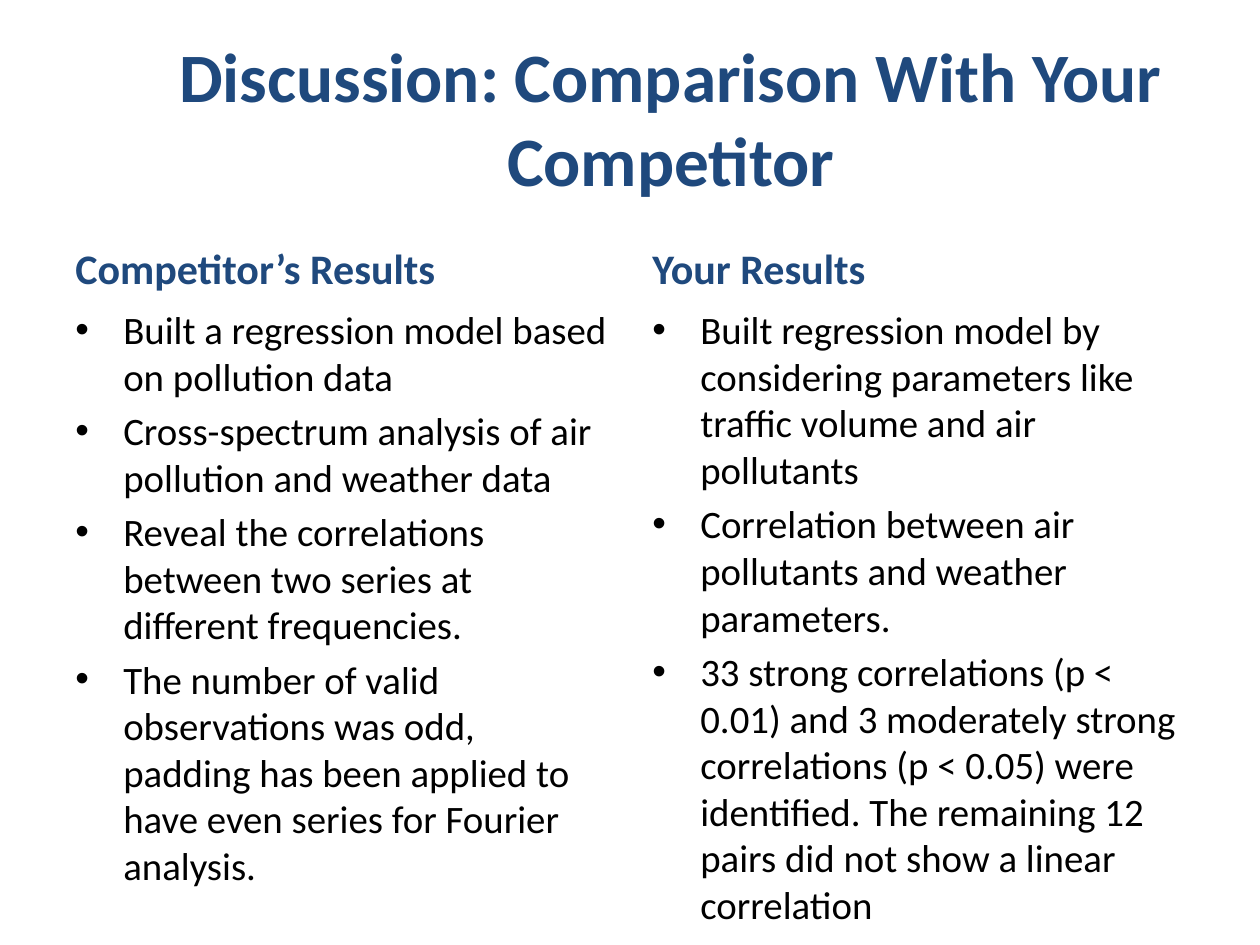
from pptx import Presentation
from pptx.dml.color import RGBColor as Rgb
from pptx.enum.text import MSO_ANCHOR as Anchor, PP_ALIGN as Align
from pptx.oxml.ns import qn
from pptx.util import Inches, Pt
from lxml.etree import SubElement

COLORS = {"heading": "1F497D", "body": "000000", "paper": "FFFFFF"}
FONT = "Calibri"
WIDTH, HEIGHT = 10, 7.5
MARGIN, COLUMN, GAP = 0.05, 0.442, 0.016  # shares of the slide width
INDENT = 0.38


class SlideWriter:
    """Holds the style and the current slide; places are shares of the slide."""

    def __init__(self, deck):
        self.slide = deck.slides.add_slide(deck.slide_layouts[6])

    def text(self, area, lines, size, color, bold=False, anchor=Anchor.TOP,
             align=Align.LEFT, before=0):
        left, top, width, height = area
        box = self.slide.shapes.add_textbox(
            Inches(left * WIDTH), Inches(top * HEIGHT),
            Inches(width * WIDTH), Inches(height * HEIGHT))
        frame = box.text_frame
        frame.word_wrap = True
        frame.vertical_anchor = anchor
        frame.text = "\n".join(lines)
        for para in frame.paragraphs:
            para.alignment = align
            para.space_before = Pt(before)
            for span in para.runs:
                span.font.name = FONT
                span.font.size = Pt(size)
                span.font.bold = bold
                span.font.color.rgb = Rgb.from_string(COLORS[color])
        return box

    def heading(self, area, words, size, **layout):
        box = self.text(area, [words], size, "heading", bold=True, **layout)
        box.fill.solid()
        box.fill.fore_color.rgb = Rgb.from_string(COLORS["paper"])

    def bullets(self, area, lines):
        box = self.text(area, lines, 22.2, "body", before=4.4)
        for para in box.text_frame.paragraphs:
            props = para._p.get_or_add_pPr()
            props.set("marL", str(Inches(INDENT)))
            props.set("indent", str(-Inches(INDENT)))
            SubElement(props, qn("a:buFont")).set("typeface", "Arial")
            SubElement(props, qn("a:buChar")).set("char", "•")


deck = Presentation()
deck.slide_width, deck.slide_height = Inches(WIDTH), Inches(HEIGHT)
page = SlideWriter(deck)

# Title
page.heading((0.115, 0.04, 0.835, 0.167),
             "Discussion: Comparison With Your Competitor", 39.6,
             anchor=Anchor.MIDDLE, align=Align.CENTER)

# Two columns of results
results = {
    "Competitor’s Results": [
        "Built a regression model based on pollution data",
        "Cross-spectrum analysis of air pollution and weather data",
        "Reveal the correlations between two series at different frequencies.",
        "The number of valid observations was odd, padding has been applied "
        "to have even series for Fourier analysis.",
    ],
    "Your Results": [
        "Built regression model by considering parameters like traffic volume "
        "and air pollutants",
        "Correlation between air pollutants and weather parameters.",
        "33 strong correlations (p < 0.01) and 3 moderately strong "
        "correlations (p < 0.05) were identified. The remaining 12 pairs did "
        "not show a linear correlation",
    ],
}
for index, (name, findings) in enumerate(results.items()):
    left = MARGIN + index * (COLUMN + GAP)
    page.heading((left, 0.224, COLUMN, 0.093), name, 24,
                 anchor=Anchor.BOTTOM, before=4.8)
    page.bullets((left, 0.317, COLUMN, 0.576), findings)

deck.save("out.pptx")
